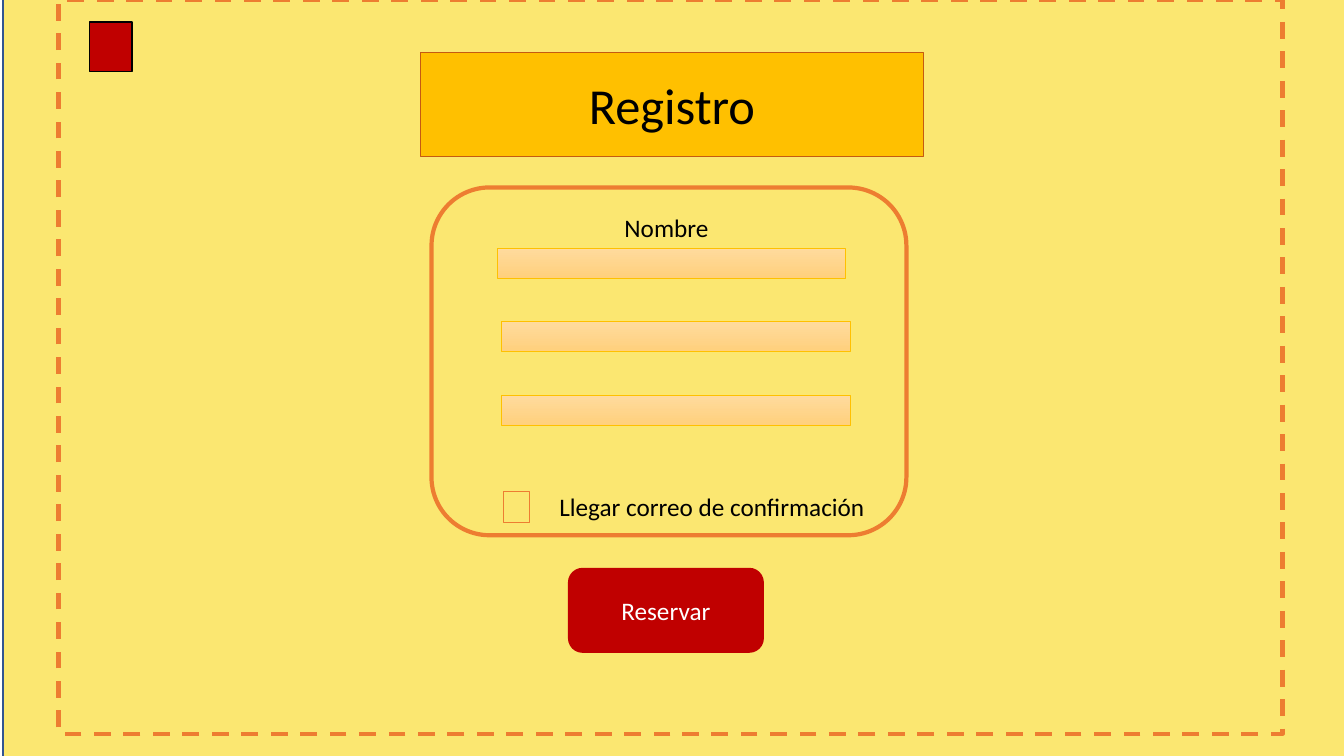
from lxml import etree
from pptx import Presentation
from pptx.dml.color import RGBColor
from pptx.enum.dml import MSO_LINE
from pptx.enum.shapes import MSO_SHAPE
from pptx.enum.text import MSO_ANCHOR, MSO_AUTO_SIZE, PP_ALIGN
from pptx.oxml.ns import qn
from pptx.util import Inches, Pt

RECT, ROUND = MSO_SHAPE.RECTANGLE, MSO_SHAPE.ROUNDED_RECTANGLE
LEFT, CENTER = PP_ALIGN.LEFT, PP_ALIGN.CENTER
MIDDLE, GROW, DASH = MSO_ANCHOR.MIDDLE, MSO_AUTO_SIZE.SHAPE_TO_FIT_TEXT, MSO_LINE.DASH

THEME = {
    "font": "Calibri", "head": 36, "body": 18,
    "page": "FBE771", "edge": "325491", "frame": "ED7D31",
    "gold": "FFC000", "rust": "C55A11", "red": "C00000",
    "black": "000000", "white": "FFFFFF",
    "pale": "FFDB9E", "peach": "FFD07C",
}


def paint(shape, fill, line, width):
    """Fill and outline a shape; None leaves it hollow."""
    if fill:
        shape.fill.solid()
        shape.fill.fore_color.rgb = RGBColor.from_string(THEME[fill])
    else:
        shape.fill.background()
    shape.line.color.rgb = RGBColor.from_string(THEME[line])
    shape.line.width = Pt(width)


def write(shape, text, size, color, align):
    """Set one line of text."""
    shape.text_frame.text = text
    shape.text_frame.word_wrap = True
    para = shape.text_frame.paragraphs[0]
    para.alignment = align
    look = {"name": THEME["font"], "size": Pt(THEME[size])}
    for key, value in look.items():
        setattr(para.font, key, value)
    para.font.color.rgb = RGBColor.from_string(THEME[color])


deck = Presentation()
deck.slide_width, deck.slide_height = Inches(13.33), Inches(7.5)
slide = deck.slides.add_slide(deck.slide_layouts[5])
shapes = slide.shapes

# Page, frame, form panel, tick box, button and menu square
parts = {}
for name, kind, box, fill, line, width in [
    ("page", RECT, (0.03, -0.33, 13.34, 7.93), "page", "edge", 1),
    ("frame", RECT, (0.58, 0, 12.14, 7.28), None, "frame", 3),
    ("panel", ROUND, (4.28, 1.86, 4.71, 3.45), None, "frame", 3),
    ("tick", RECT, (4.99, 4.88, 0.26, 0.3), None, "frame", 0.75),
    ("button", ROUND, (5.64, 5.64, 1.93, 0.83), "red", "red", 1),
    ("menu", RECT, (0.89, 0.22, 0.42, 0.49), "red", "black", 1),
]:
    part = shapes.add_shape(kind, *map(Inches, box))
    part.shadow.inherit = False
    paint(part, fill, line, width)
    parts[name] = part
parts["frame"].line.dash_style = DASH
write(parts["button"], "Reservar", "body", "white", CENTER)
parts["button"].text_frame.vertical_anchor = MIDDLE

# Title in a rounded banner, brought in front of the page
title = shapes.title
place = {"left": 4.17, "top": 0.52, "width": 4.99, "height": 1.03}
for key, value in place.items():
    setattr(title, key, Inches(value))
geom = etree.SubElement(title._element.spPr, qn("a:prstGeom"), prst="roundRect")
etree.SubElement(geom, qn("a:avLst"))
paint(title, "gold", "rust", 1)
write(title, "Registro", "head", "black", CENTER)
title.text_frame.vertical_anchor = MIDDLE
shapes._spTree.append(title._element)

# Entry fields at an even pitch
for row, left in enumerate((4.93, 4.97, 4.97)):
    top = 2.46 + 0.73 * row
    field = shapes.add_shape(RECT, *map(Inches, (left, top, 3.46, 0.3)))
    field.shadow.inherit = False
    paint(field, None, "gold", 0.5)
    field.fill.gradient()
    field.fill.gradient_angle = 270
    for stop, tone in zip(field.fill.gradient_stops, ("pale", "peach")):
        stop.color.rgb = RGBColor.from_string(THEME[tone])

# Labels
for text, top, width, align in [
    ("Nombre", 2.06, 2.32, CENTER),
    ("Llegar correo de confirmación", 4.83, 3.46, LEFT),
]:
    label = shapes.add_textbox(*map(Inches, (5.45, top, width, 0.4)))
    write(label, text, "body", "black", align)
    label.text_frame.auto_size = GROW

deck.save("out.pptx")
